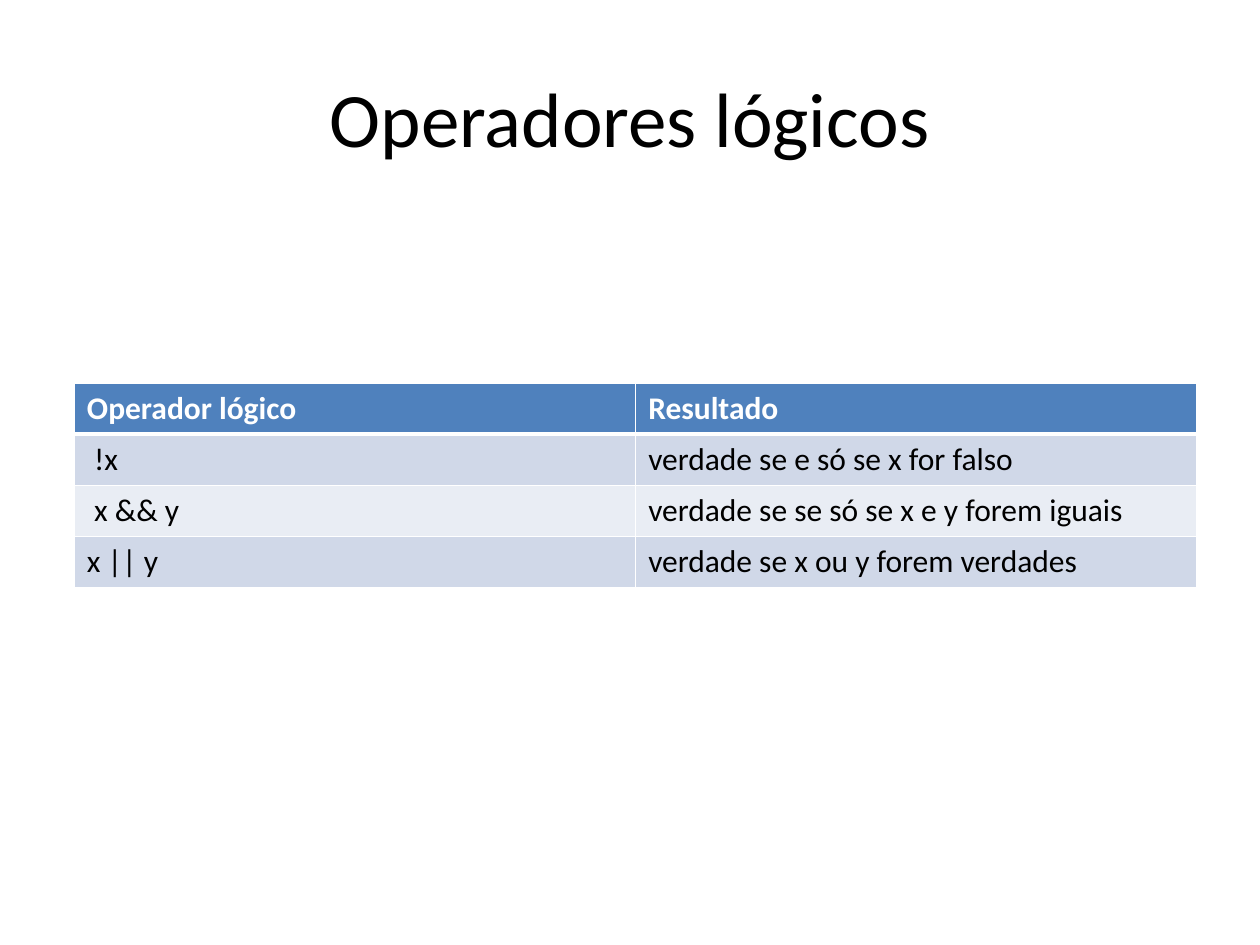
from lxml import etree
from pptx import Presentation
from pptx.dml.color import RGBColor
from pptx.enum import text as tx
from pptx.oxml import ns
from pptx.util import Inches, Pt

FONT = "Calibri"
WHITE, BLACK, BLUE = "FFFFFF", "000000", "4F81BD"
BANDS = ["D0D8E8", "E9EDF4"]
ROWS = [
    ("Operador lógico", "Resultado"),
    (" !x ", "verdade se e só se x for falso"),
    (" x && y", "verdade se se só se x e y forem iguais "),
    ("x || y ", "verdade se x ou y forem verdades"),
]


def color(code):
    return RGBColor.from_string(code)


def style(par, size, code, bold=False):
    font = par.font
    font.name, font.size, font.bold = FONT, Pt(size), bold
    font.color.rgb = color(code)


def border(cell, side, width):
    props = cell._tc.get_or_add_tcPr()
    line = etree.SubElement(props, ns.qn("a:ln" + side), w=str(Pt(width)))
    fill = etree.SubElement(line, ns.qn("a:solidFill"))
    etree.SubElement(fill, ns.qn("a:srgbClr"), val=WHITE)


def add_title(slide, words, left, top, width, height):
    title = slide.shapes.title
    title.left, title.top = Inches(left), Inches(top)
    title.width, title.height = Inches(width), Inches(height)
    frame = title.text_frame
    frame.text = words
    frame.vertical_anchor = tx.MSO_ANCHOR.MIDDLE
    par = frame.paragraphs[0]
    par.alignment = tx.PP_ALIGN.CENTER
    style(par, 44, BLACK)


def add_grid(slide, rows, left, top, width, height):
    table = slide.shapes.add_table(
        len(rows), len(rows[0]),
        Inches(left), Inches(top), Inches(width), Inches(height)).table
    for r, row in enumerate(rows):
        head = r == 0
        for c, words in enumerate(row):
            cell = table.cell(r, c)
            cell.text = words
            style(cell.text_frame.paragraphs[0], 18,
                  WHITE if head else BLACK, head)
            # Thick rule on both sides of the header's lower edge
            for side in "LRTB":
                thick = (r, side) in ((0, "B"), (1, "T"))
                border(cell, side, 3 if thick else 1)
            cell.fill.solid()
            cell.fill.fore_color.rgb = color(
                BLUE if head else BANDS[(r - 1) % 2])


deck = Presentation()
deck.slide_width, deck.slide_height = Inches(10), Inches(7.5)
page = deck.slides.add_slide(deck.slide_layouts[5])
add_title(page, "Operadores lógicos", 0.5, 0.3, 9, 1.25)
add_grid(page, ROWS, 0.59, 3.04, 8.91, 1.62)
deck.save("out.pptx")
